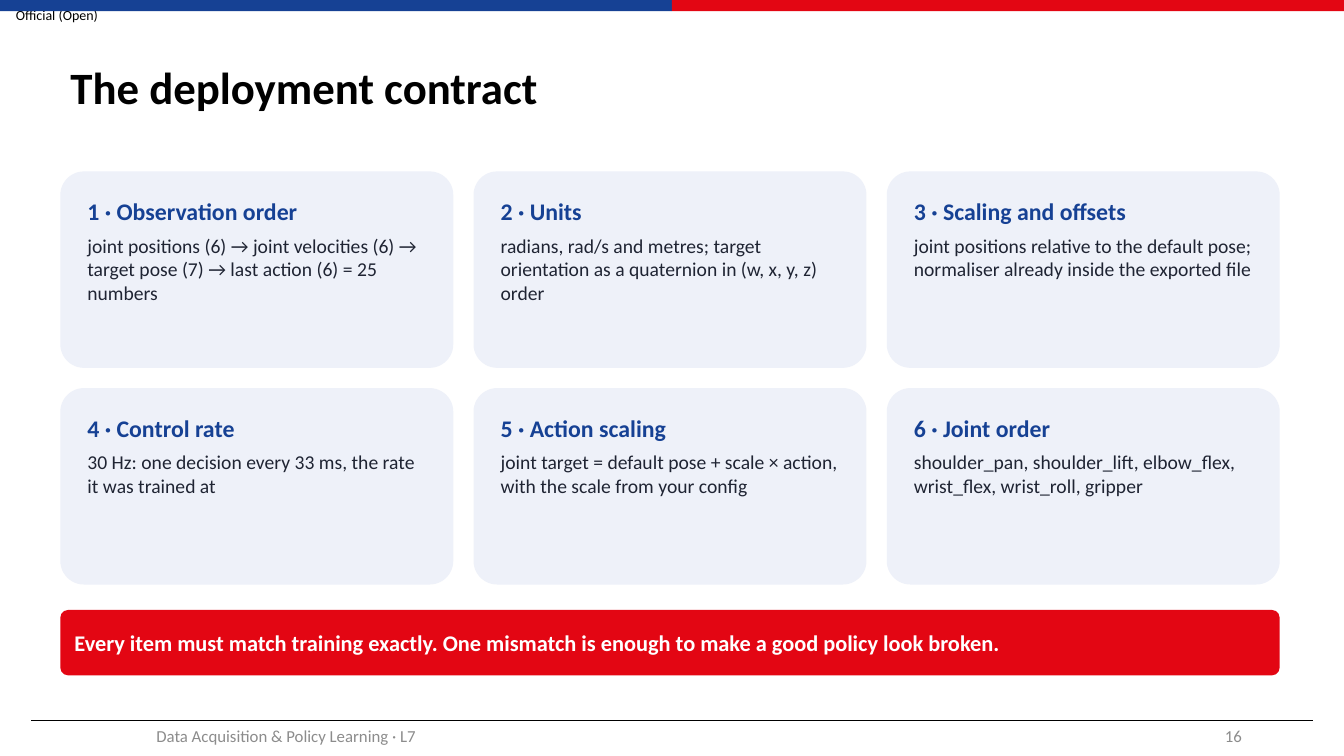
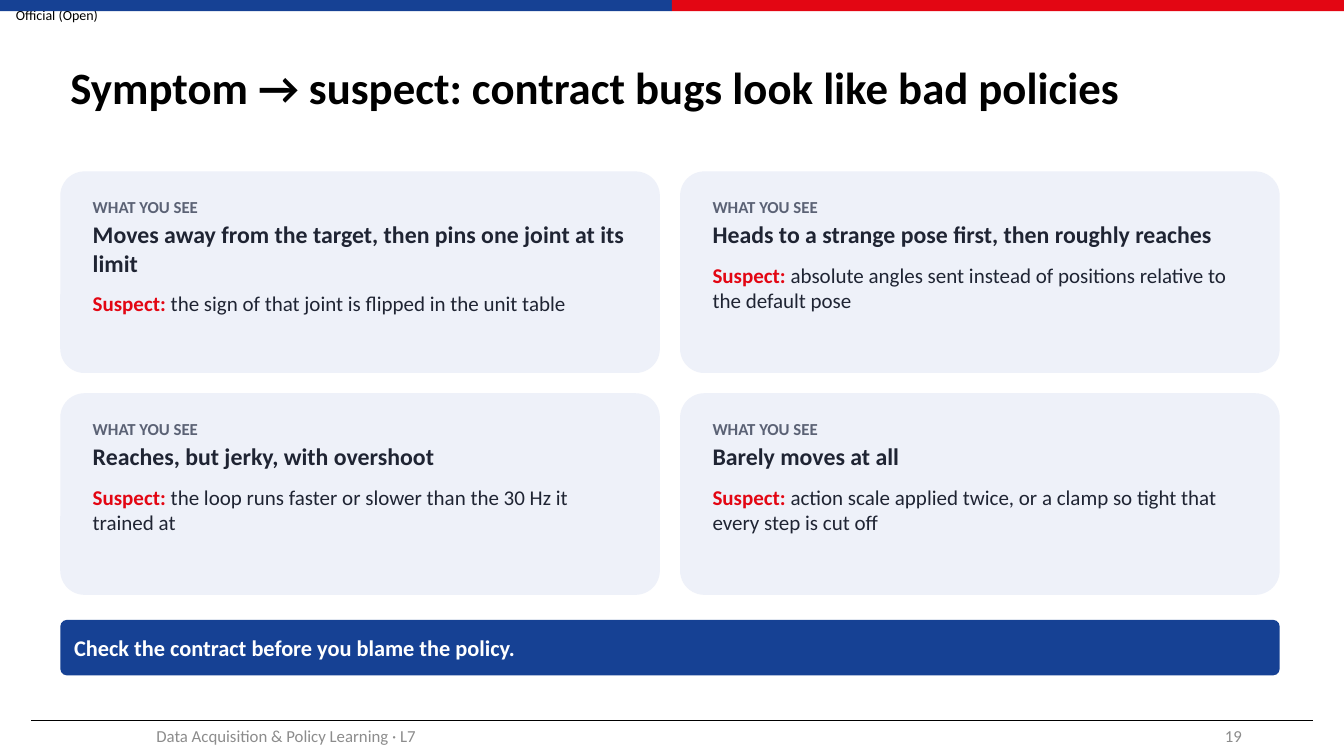
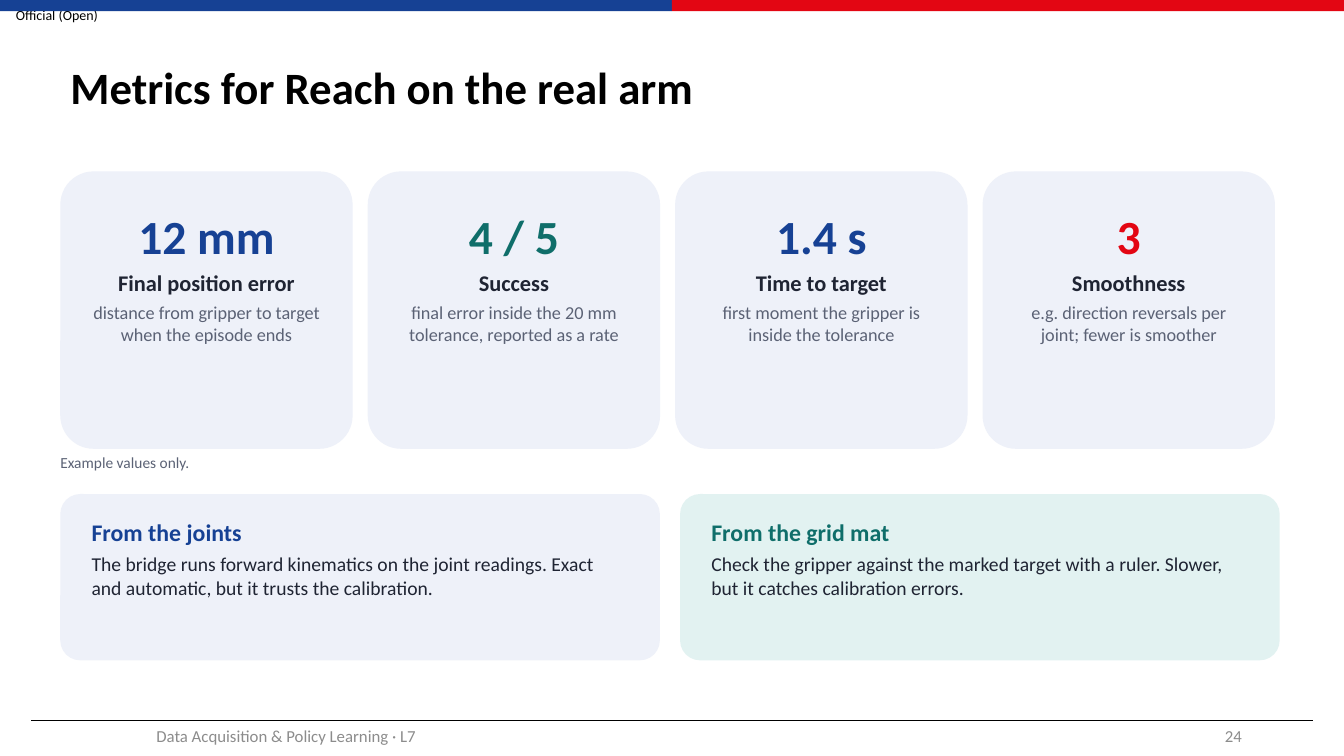
from dataclasses import dataclass

from lxml.etree import SubElement
from pptx import Presentation
from pptx.dml.color import RGBColor
from pptx.enum.shapes import MSO_CONNECTOR, MSO_SHAPE
from pptx.enum.text import MSO_ANCHOR as ANCHOR
from pptx.enum.text import MSO_AUTO_SIZE as AUTO_SIZE
from pptx.enum.text import PP_ALIGN as ALIGN
from pptx.oxml.ns import qn
from pptx.util import Cm, Pt


@dataclass(frozen=True)
class Theme:
    font: str = "Calibri"
    blue: str = "164194"
    red: str = "E30613"
    teal: str = "0F6E6A"
    ink: str = "1F2433"
    muted: str = "5B6275"
    footer: str = "8C8C8C"
    black: str = "000000"
    white: str = "FFFFFF"
    pale_blue: str = "EEF1F9"
    pale_teal: str = "E2F2F1"
    title_size: int = 32
    figure_size: int = 34
    heading_size: int = 17
    banner_size: int = 16
    suspect_size: int = 15
    body_size: int = 14
    detail_size: int = 13
    small_size: int = 12
    note_size: int = 11
    label_size: int = 10
    corner: float = 0.12


T = Theme()


@dataclass(frozen=True)
class Box:
    x: float
    y: float
    w: float
    h: float

    def lengths(self):
        return Cm(self.x), Cm(self.y), Cm(self.w), Cm(self.h)

    def grid(self, cols, rows, gap):
        w = (self.w - gap * (cols - 1)) / cols
        h = (self.h - gap * (rows - 1)) / rows
        return [
            Box(self.x + col * (w + gap), self.y + row * (h + gap), w, h)
            for row in range(rows)
            for col in range(cols)
        ]


@dataclass(frozen=True)
class Line:
    text: str
    size: int
    color: str
    bold: bool = False
    after: int = 0
    lead: str = ""
    lead_color: str = T.red


SLIDE_W, SLIDE_H = 33.87, 19.05
LEFT, TOP, WIDTH, GAP = 1.52, 4.32, 30.73, 0.51
TITLE = Box(1.52, 0.76, 30.68, 3)
BAND_H = 0.28
CARD_INSETS = (0.51, 0.46)
WIDE_INSETS = (0.64, 0.46)
METRIC_INSETS = (0.46, 0.64)
BANNER_INSETS = (0.3, 0.15)
BOX_INSETS = (0.25, 0.13)


def style(font, size, color, bold=False):
    font.name = T.font
    font.size = Pt(size)
    font.bold = bold
    font.color.rgb = RGBColor.from_string(color)


def write(s, lines, insets, anchor=ANCHOR.TOP, align=ALIGN.LEFT):
    tf = s.text_frame
    tf.word_wrap = True
    tf.vertical_anchor = anchor
    tf.margin_left = tf.margin_right = Cm(insets[0])
    tf.margin_top = tf.margin_bottom = Cm(insets[1])
    for i, line in enumerate(lines):
        p = tf.add_paragraph() if i else tf.paragraphs[0]
        p.alignment = align
        p.space_after = Pt(line.after)
        style(p.font, line.size, line.color, line.bold)
        if line.lead:
            r = p.add_run()
            r.text = line.lead
            r.font.bold = True
            r.font.color.rgb = RGBColor.from_string(line.lead_color)
        p.add_run().text = line.text


def add_panel(slide, box, fill, shape=MSO_SHAPE.ROUNDED_RECTANGLE):
    s = slide.shapes.add_shape(shape, *box.lengths())
    s.shadow.inherit = False
    s.fill.solid()
    s.fill.fore_color.rgb = RGBColor.from_string(fill)
    s.line.fill.background()
    if shape == MSO_SHAPE.ROUNDED_RECTANGLE:
        s.adjustments[0] = T.corner
    return s


def add_text(slide, box, line, insets=BOX_INSETS, anchor=ANCHOR.MIDDLE, align=ALIGN.LEFT):
    s = slide.shapes.add_textbox(*box.lengths())
    write(s, [line], insets, anchor, align)
    return s


def add_rule(slide, x1, x2, y):
    s = slide.shapes.add_connector(MSO_CONNECTOR.STRAIGHT, Cm(x1), Cm(y), Cm(x2), Cm(y))
    s.line.color.rgb = RGBColor.from_string(T.black)
    s.line.width = Pt(0.5)
    SubElement(s.element.spPr, qn("a:effectLst"))
    return s


def furnish_layout(layout, slide):
    title = next(s for s in layout.placeholders if s.placeholder_format.idx == 0)
    title.left, title.top, title.width, title.height = TITLE.lengths()
    label = Line("Official (Open)", T.label_size, T.black)
    parts = [add_text(slide, Box(0, 0, 2.87, 0.74), label, (0, 0), align=ALIGN.CENTER)]
    halves = Box(0, 0, SLIDE_W, BAND_H).grid(2, 1, 0)
    for box, color in zip(halves, (T.blue, T.red)):
        parts.append(add_panel(slide, box, color, MSO_SHAPE.RECTANGLE))
    parts.append(add_rule(slide, 0.79, 33.1, 18.14))
    for s in parts:
        layout.shapes.element.append(s.element)


def add_slide(prs, layout, title, number):
    slide = prs.slides.add_slide(layout)
    tf = slide.shapes.title.text_frame
    tf.text = title
    tf.auto_size = AUTO_SIZE.NONE
    tf.vertical_anchor = ANCHOR.MIDDLE
    p = tf.paragraphs[0]
    p.alignment = ALIGN.LEFT
    p.line_spacing = 0.9
    style(p.font, T.title_size, T.black, True)
    footer = Line("Data Acquisition & Policy Learning · L7", T.small_size, T.footer)
    page = Line(str(number), T.small_size, T.footer)
    add_text(slide, Box(1.5, 18.03, 11.43, 1.02), footer, align=ALIGN.CENTER)
    add_text(slide, Box(23.93, 18.03, 7.62, 1.02), page, align=ALIGN.RIGHT)
    return slide


def add_card(slide, box, heading, body, color=T.blue, fill=T.pale_blue, insets=CARD_INSETS, after=6):
    lines = [
        Line(heading, T.heading_size, color, True, after),
        Line(body, T.body_size, T.ink),
    ]
    write(add_panel(slide, box, fill), lines, insets)


def add_symptom(slide, box, symptom, suspect):
    lines = [
        Line("WHAT YOU SEE", T.small_size, T.muted, True, 2),
        Line(symptom, T.heading_size, T.ink, True, 10),
        Line(suspect, T.suspect_size, T.ink, lead="Suspect: "),
    ]
    write(add_panel(slide, box, T.pale_blue), lines, WIDE_INSETS)


def add_metric(slide, box, figure, name, detail, color):
    lines = [
        Line(figure, T.figure_size, color, True, 4),
        Line(name, T.banner_size, T.ink, True, 4),
        Line(detail, T.detail_size, T.muted),
    ]
    write(add_panel(slide, box, T.pale_blue), lines, METRIC_INSETS, align=ALIGN.CENTER)


def add_banner(slide, box, text, fill):
    line = Line(text, T.banner_size, T.white, True)
    write(add_panel(slide, box, fill), [line], BANNER_INSETS, ANCHOR.MIDDLE)


def fill_contract(slide):
    items = [
        ("Observation order", "joint positions (6) → joint velocities (6) → target pose (7) → last action (6) = 25 numbers"),
        ("Units", "radians, rad/s and metres; target orientation as a quaternion in (w, x, y, z) order"),
        ("Scaling and offsets", "joint positions relative to the default pose; normaliser already inside the exported file"),
        ("Control rate", "30 Hz: one decision every 33 ms, the rate it was trained at"),
        ("Action scaling", "joint target = default pose + scale × action, with the scale from your config"),
        ("Joint order", "shoulder_pan, shoulder_lift, elbow_flex, wrist_flex, wrist_roll, gripper"),
    ]
    boxes = Box(LEFT, TOP, WIDTH, 10.41).grid(3, 2, GAP)
    for i, (box, (heading, body)) in enumerate(zip(boxes, items), 1):
        add_card(slide, box, f"{i} · {heading}", body)
    add_banner(
        slide,
        Box(LEFT, 15.37, WIDTH, 1.65),
        "Every item must match training exactly. One mismatch is enough to make a good policy look broken.",
        T.red,
    )


def fill_symptoms(slide):
    items = [
        ("Moves away from the target, then pins one joint at its limit", "the sign of that joint is flipped in the unit table"),
        ("Heads to a strange pose first, then roughly reaches", "absolute angles sent instead of positions relative to the default pose"),
        ("Reaches, but jerky, with overshoot", "the loop runs faster or slower than the 30 Hz it trained at"),
        ("Barely moves at all", "action scale applied twice, or a clamp so tight that every step is cut off"),
    ]
    for box, item in zip(Box(LEFT, TOP, WIDTH, 10.67).grid(2, 2, GAP), items):
        add_symptom(slide, box, *item)
    add_banner(slide, Box(LEFT, 15.62, WIDTH, 1.4), "Check the contract before you blame the policy.", T.blue)


def fill_metrics(slide):
    metrics = [
        ("12 mm", "Final position error", "distance from gripper to target when the episode ends", T.blue),
        ("4 / 5", "Success", "final error inside the 20 mm tolerance, reported as a rate", T.teal),
        ("1.4 s", "Time to target", "first moment the gripper is inside the tolerance", T.blue),
        ("3", "Smoothness", "e.g. direction reversals per joint; fewer is smoother", T.red),
    ]
    for box, metric in zip(Box(LEFT, TOP, 30.61, 6.99).grid(4, 1, 0.38), metrics):
        add_metric(slide, box, *metric)
    note = Line("Example values only.", T.note_size, T.muted)
    add_text(slide, Box(LEFT, 11.43, WIDTH, 0.76), note, (0, 0), ANCHOR.TOP)
    sources = [
        (
            "From the joints",
            "The bridge runs forward kinematics on the joint readings. Exact and automatic, but it trusts the calibration.",
            T.blue,
            T.pale_blue,
        ),
        (
            "From the grid mat",
            "Check the gripper against the marked target with a ruler. Slower, but it catches calibration errors.",
            T.teal,
            T.pale_teal,
        ),
    ]
    for box, source in zip(Box(LEFT, 12.45, WIDTH, 4.19).grid(2, 1, GAP), sources):
        add_card(slide, box, *source, insets=WIDE_INSETS, after=4)


def main():
    prs = Presentation()
    prs.slide_width, prs.slide_height = Cm(SLIDE_W), Cm(SLIDE_H)
    layout = prs.slide_layouts.get_by_name("Title Only")
    pages = [
        ("The deployment contract", 16, fill_contract),
        ("Symptom → suspect: contract bugs look like bad policies", 19, fill_symptoms),
        ("Metrics for Reach on the real arm", 24, fill_metrics),
    ]
    for title, number, fill in pages:
        fill(add_slide(prs, layout, title, number))
    furnish_layout(layout, prs.slides[0])
    prs.save("out.pptx")


if __name__ == "__main__":
    main()
